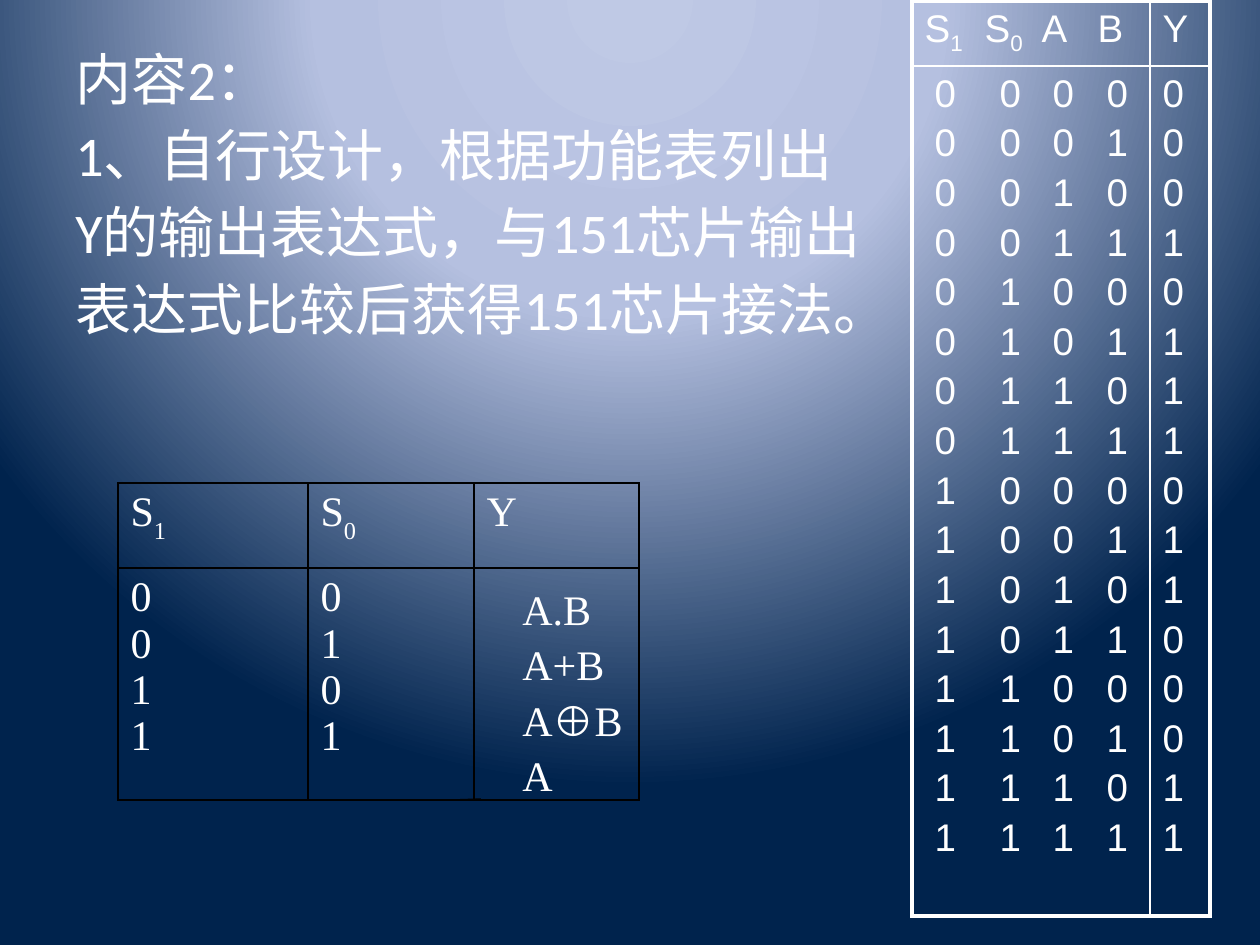
"""Build the slide on designing a function table for the 151 chip."""
from dataclasses import dataclass
from itertools import product
from typing import Optional

from pptx import Presentation
from pptx.dml.color import RGBColor
from pptx.enum.shapes import MSO_CONNECTOR
from pptx.oxml import parse_xml
from pptx.oxml.ns import nsdecls, qn
from pptx.util import Emu, Length, Pt

STRAIGHT = MSO_CONNECTOR.STRAIGHT
WHITE = RGBColor(0xFF, 0xFF, 0xFF)
BLACK = RGBColor(0x00, 0x00, 0x00)
PALE = RGBColor(0xBF, 0xC9, 0xE5)
MIST = RGBColor(0xB5, 0xC0, 0xE0)
NAVY = RGBColor(0x00, 0x23, 0x4D)
PX_PER_INCH = 126
SUBSCRIPT_MARK = "_"


@dataclass(frozen=True)
class TextStyle:
    """Font and spacing of a block of text."""
    font: str
    size: int
    space_before: float = 0
    line_spacing: Optional[float] = None
    subscript: int = -25


@dataclass(frozen=True)
class CellText:
    """Lines of one cell and their tab stops in px."""
    lines: tuple[str, ...] = ()
    tabs: tuple[int, ...] = ()


@dataclass(frozen=True)
class Grid:
    """A bordered table; lengths in px, border widths in points."""
    left: int
    top: int
    columns: tuple[int, ...]
    rows: tuple[int, ...]
    cells: tuple[tuple[CellText, ...], ...]
    style: TextStyle
    border: RGBColor
    outer: float
    inner: float


BODY = TextStyle("Calibri", 32, space_before=5.5)
TRUTH = TextStyle("Arial", 22, space_before=3.75)
FUNCTION = TextStyle("Times New Roman", 24, subscript=-30)
FORMULA = TextStyle("Times New Roman", 24, line_spacing=1.1)

BODY_LINES = (
    "内容2：",
    "1、自行设计，根据功能表列出",
    "Y的输出表达式，与151芯片输出",
    "表达式比较后获得151芯片接法。",
)
FORMULA_LINES = ("A.B", "A+B", "A⊕B", "A")


def px(value: int) -> Length:
    """Turn px into EMU."""
    return Emu(round(value * 914400 / PX_PER_INCH))


def output(s1: int, s0: int, a: int, b: int) -> int:
    """Return Y for the selected function of A and B."""
    return (a & b, a | b, a ^ b, a)[2 * s1 + s0]


def write(frame, lines: tuple[str, ...], style: TextStyle, tabs: tuple[int, ...] = ()) -> None:
    """Write styled lines; every second part around the mark is a subscript."""
    for index, line in enumerate(lines):
        para = frame.add_paragraph() if index else frame.paragraphs[0]
        if tabs:
            stops = "".join(f'<a:tab pos="{px(tab)}" algn="l"/>' for tab in tabs)
            tab_list = parse_xml(f'<a:tabLst {nsdecls("a")}>{stops}</a:tabLst>')
            para._p.get_or_add_pPr().append(tab_list)
        if index:
            para.space_before = Pt(style.space_before)
        if style.line_spacing:
            para.line_spacing = style.line_spacing
        for order, part in enumerate(line.split(SUBSCRIPT_MARK)):
            span = para.add_run()
            span.text = part
            span.font.name = style.font
            span.font.size = Pt(style.size)
            span.font.color.rgb = WHITE
            if order % 2:
                span.font._element.set("baseline", str(style.subscript * 1000))


def add_text(page, left: int, top: int, width: int, height: int,
             lines: tuple[str, ...], style: TextStyle, wrap: bool) -> None:
    """Add a text box."""
    box = page.shapes.add_textbox(px(left), px(top), px(width), px(height))
    box.text_frame.word_wrap = wrap
    write(box.text_frame, lines, style)


def set_borders(cell, color: RGBColor, widths: dict[str, float]) -> None:
    """Draw the four borders of a cell."""
    properties = cell._tc.get_or_add_tcPr()
    for side, width in widths.items():
        properties.append(parse_xml(
            f'<a:ln{side} {nsdecls("a")} w="{Pt(width)}"><a:solidFill>'
            f'<a:srgbClr val="{color}"/></a:solidFill></a:ln{side}>'))


def add_grid(page, grid: Grid) -> None:
    """Add a table with unfilled cells."""
    row_count, column_count = len(grid.rows), len(grid.columns)
    table = page.shapes.add_table(
        row_count, column_count, px(grid.left), px(grid.top),
        px(sum(grid.columns)), px(sum(grid.rows))).table
    table.first_row = False
    table.horz_banding = False
    for column, width in zip(table.columns, grid.columns):
        column.width = px(width)
    for row, height in zip(table.rows, grid.rows):
        row.height = px(height)
    for r, c in product(range(row_count), range(column_count)):
        cell, content = table.cell(r, c), grid.cells[r][c]
        edges = {"L": c == 0, "R": c == column_count - 1,
                 "T": r == 0, "B": r == row_count - 1}
        set_borders(cell, grid.border, {
            side: grid.outer if edge else grid.inner for side, edge in edges.items()})
        cell.fill.background()
        write(cell.text_frame, content.lines, grid.style, content.tabs)


def set_background(page) -> None:
    """Fill the page with a circular gradient centred above it."""
    page.background.fill.solid()
    properties = page.element.find(".//" + qn("p:bgPr"))
    stops = "".join(
        f'<a:gs pos="{place * 1000}"><a:srgbClr val="{color}"/></a:gs>'
        for place, color in ((0, PALE), (40, MIST), (100, NAVY)))
    properties.replace(properties[0], parse_xml(
        f'<a:gradFill {nsdecls("a")} rotWithShape="1"><a:gsLst>{stops}</a:gsLst>'
        '<a:path path="circle"><a:fillToRect l="50000" t="-80000" r="50000" b="180000"/>'
        '</a:path></a:gradFill>'))


def add_line(page, start: tuple[int, int], end: tuple[int, int]) -> None:
    """Add a thin black line."""
    line = page.shapes.add_connector(STRAIGHT, *map(px, start + end))
    line.line.color.rgb = BLACK
    line.line.width = Pt(0.75)
    line._element.spPr.append(parse_xml(f'<a:effectLst {nsdecls("a")}/>'))


def main() -> None:
    """Build and save the deck."""
    deck = Presentation()
    deck.slide_width, deck.slide_height = px(1260), px(945)
    page = deck.slides.add_slide(deck.slide_layouts[6])
    set_background(page)
    add_text(page, 63, 38, 1134, 806, BODY_LINES, BODY, True)

    inputs = tuple(product((0, 1), repeat=4))
    input_lines = tuple("".join(f"\t{bit}" for bit in bits) for bits in inputs)
    output_lines = tuple(str(output(*bits)) for bits in inputs)
    add_grid(page, Grid(
        912, 1, (238, 60), (61, 833),
        ((CellText(("S_1_\tS_0_\tA\tB",), (60, 117, 173)), CellText(("Y",))),
         (CellText(input_lines, (10, 75, 128, 182)), CellText(output_lines))),
        TRUTH, WHITE, 2.25, 1))

    add_text(page, 510, 572, 129, 154, FORMULA_LINES, FORMULA, False)
    add_line(page, (481, 799), (451, 800))
    selects = tuple(product("01", repeat=2))
    s1_lines, s0_lines = zip(*selects)
    add_grid(page, Grid(
        118, 483, (190, 166, 165), (85, 232),
        ((CellText(("S_1",)), CellText(("S_0",)), CellText(("Y",))),
         (CellText(s1_lines), CellText(s0_lines), CellText())),
        FUNCTION, BLACK, 1, 1))
    deck.save("out.pptx")


if __name__ == "__main__":
    main()
